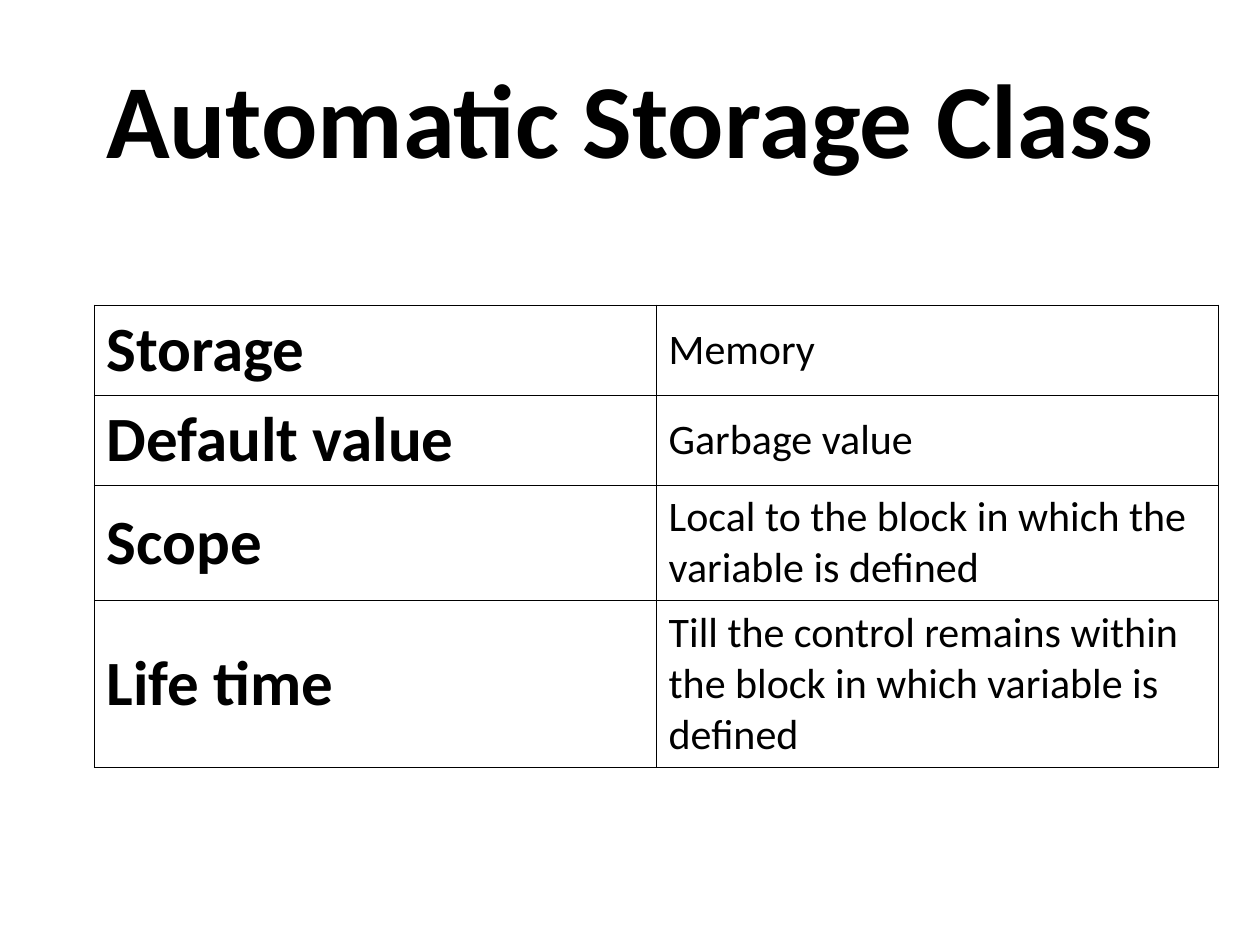
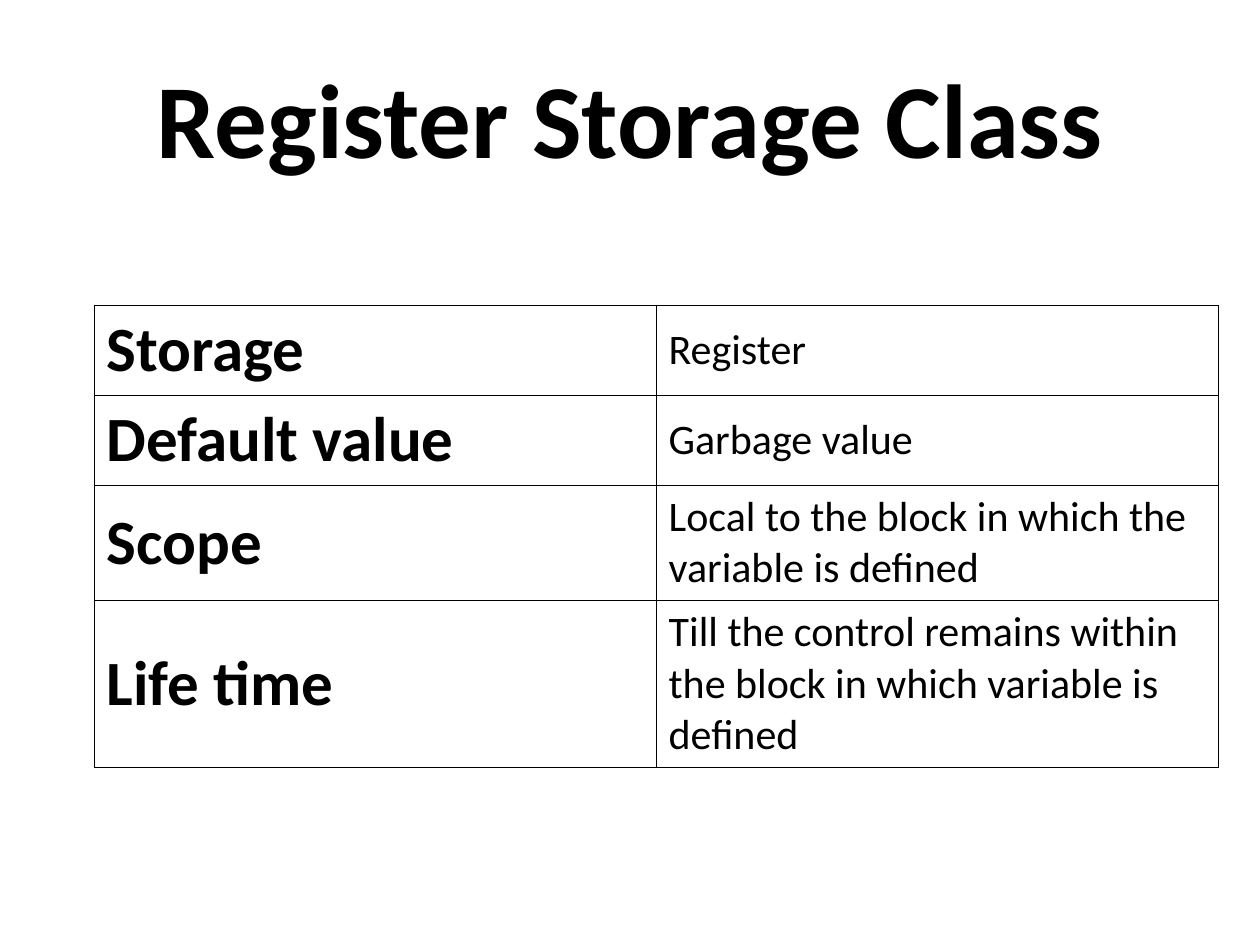
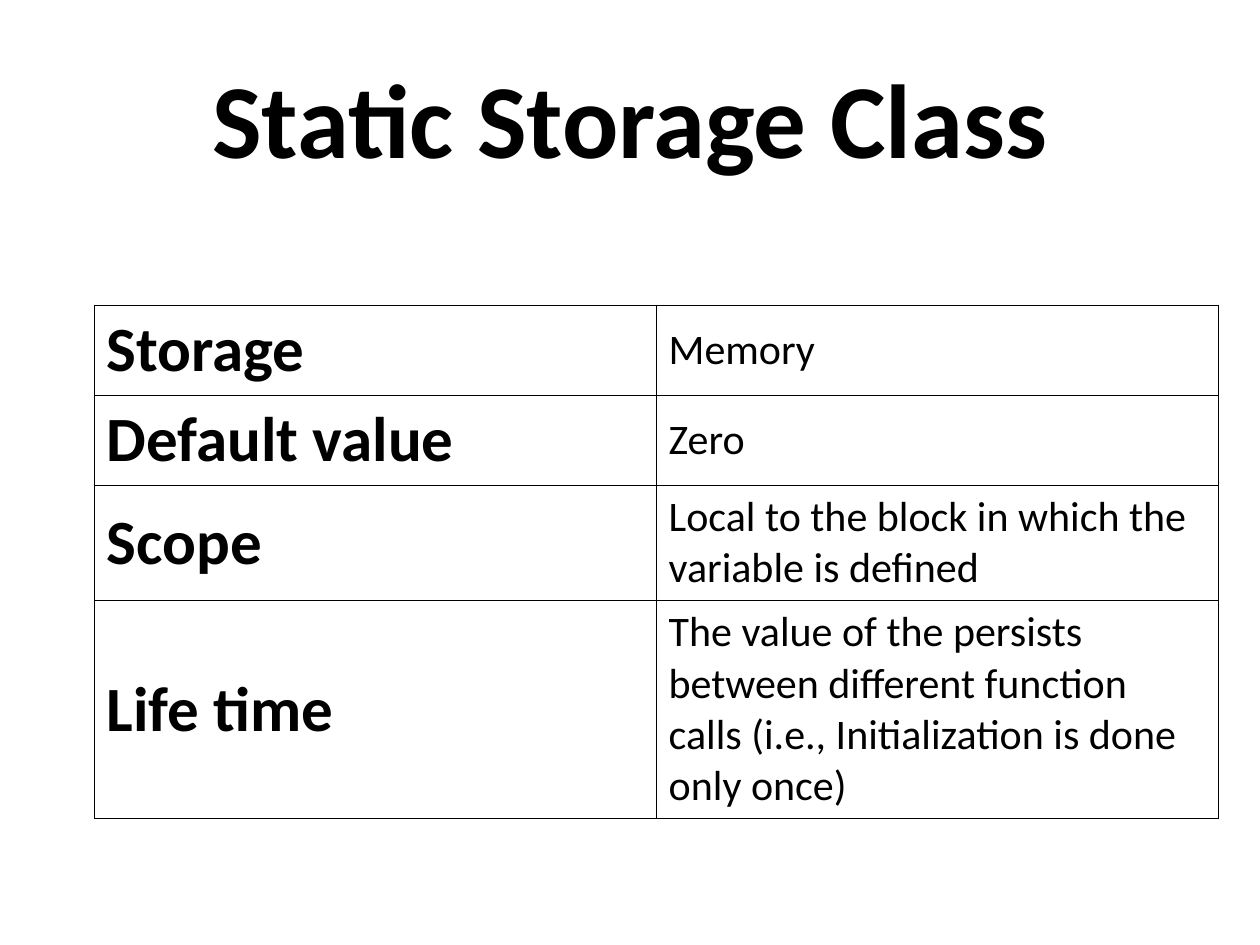
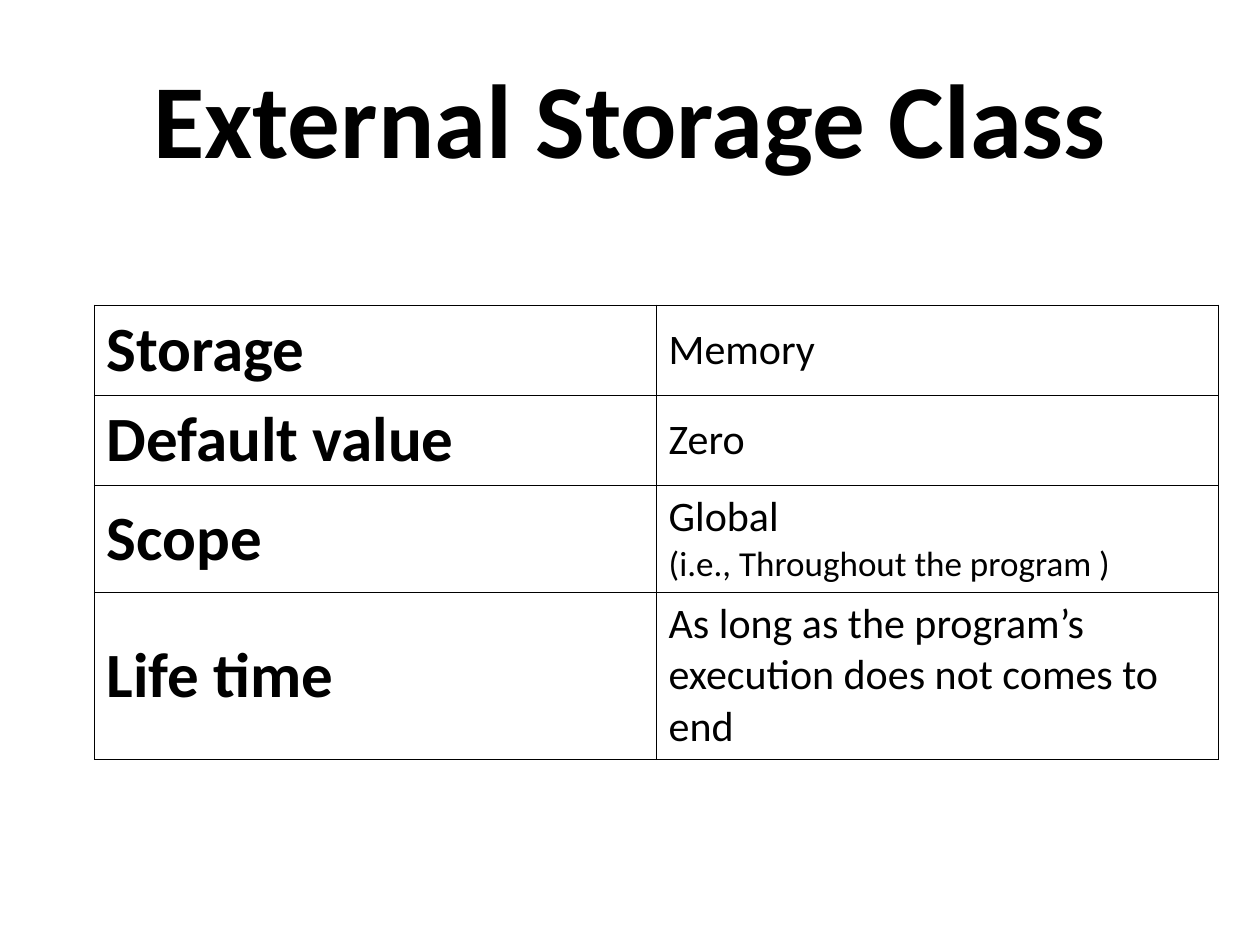
from lxml import etree
from pptx import Presentation
from pptx.dml import color
from pptx.enum import text
from pptx.oxml import ns
from pptx.util import Cm, Pt

# Shared look
FONT = "Calibri"
INK = "000000"
PAPER = "FFFFFF"
RULE = 0.45
HEAD = (1.27, 0.76, 22.86, 3.18)
GRID = (1.9, 6.15, 22.66)
LABELS = ("Storage", "Default value", "Scope", "Life time")

# Shared answers
BLOCK = "Local to the block in which the variable is defined"
TILL = "Till the control remains within the block in which variable is defined"

# Title, row heights in cm, one answer for each label
PAGES = (
    ("Automatic Storage Class", (1.81, 1.81, 2.33, 3.35),
     ("Memory", "Garbage value", BLOCK, TILL)),
    ("Register Storage Class", (1.78, 1.78, 2.29, 3.3),
     ("Register", "Garbage value", BLOCK, TILL)),
    ("Static Storage Class", (1.78, 1.78, 2.29, 4.32),
     ("Memory", "Zero", BLOCK,
      "The value of the persists between different function calls "
      "(i.e., Initialization is done only once)")),
    ("External Storage Class", (1.78, 1.78, 2.12, 3.3),
     ("Memory", "Zero", "Global\n(i.e., Throughout the program )",
      "As long as the program’s execution does not comes to end")),
)


def rgb(code):
    return color.RGBColor.from_string(code)


def style(par, size, bold):
    for run in par.runs:
        font = run.font
        font.name, font.size, font.bold = FONT, Pt(size), bold
        font.color.rgb = rgb(INK)


def frame(cell):
    """Draw a thin line on all four sides of a cell."""
    props = cell._tc.get_or_add_tcPr()
    for side in ("lnL", "lnR", "lnT", "lnB"):
        line = etree.SubElement(props, ns.qn("a:" + side),
                                w=str(int(Pt(RULE))))
        fill = etree.SubElement(line, ns.qn("a:solidFill"))
        etree.SubElement(fill, ns.qn("a:srgbClr"), val=INK)


def write(cell, words, size, bold):
    frame(cell)
    cell.fill.background()
    cell.vertical_anchor = text.MSO_ANCHOR.MIDDLE
    cell.margin_left = cell.margin_right = Cm(0.25)
    cell.margin_top = cell.margin_bottom = Cm(0.13)
    cell.text_frame.text = words
    for n, par in enumerate(cell.text_frame.paragraphs):
        # A second paragraph is a smaller remark
        style(par, size if n == 0 else 20, bold)


def title(slide, words, box):
    head = slide.shapes.title
    head.left, head.top, head.width, head.height = map(Cm, box)
    body = head.text_frame
    body.text = words
    body.vertical_anchor = text.MSO_ANCHOR.MIDDLE
    par = body.paragraphs[0]
    par.alignment = text.PP_ALIGN.CENTER
    style(par, 60, True)


def facts(slide, values, heights, box):
    left, top, width = box
    table = slide.shapes.add_table(
        len(LABELS), 2, Cm(left), Cm(top), Cm(width), Cm(sum(heights))).table
    table.first_row = table.horz_banding = False
    for col in table.columns:
        col.width = Cm(width / 2)
    for n, (label, value) in enumerate(zip(LABELS, values)):
        table.rows[n].height = Cm(heights[n])
        write(table.cell(n, 0), label, 36, True)
        write(table.cell(n, 1), value, 24, False)


def main():
    deck = Presentation()
    deck.slide_width, deck.slide_height = Cm(25.4), Cm(19.05)
    back = deck.slide_master.background.fill
    back.solid()
    back.fore_color.rgb = rgb(PAPER)
    for name, heights, values in PAGES:
        slide = deck.slides.add_slide(deck.slide_layouts[5])
        title(slide, name, HEAD)
        facts(slide, values, heights, GRID)
    deck.save("out.pptx")


if __name__ == "__main__":
    main()
